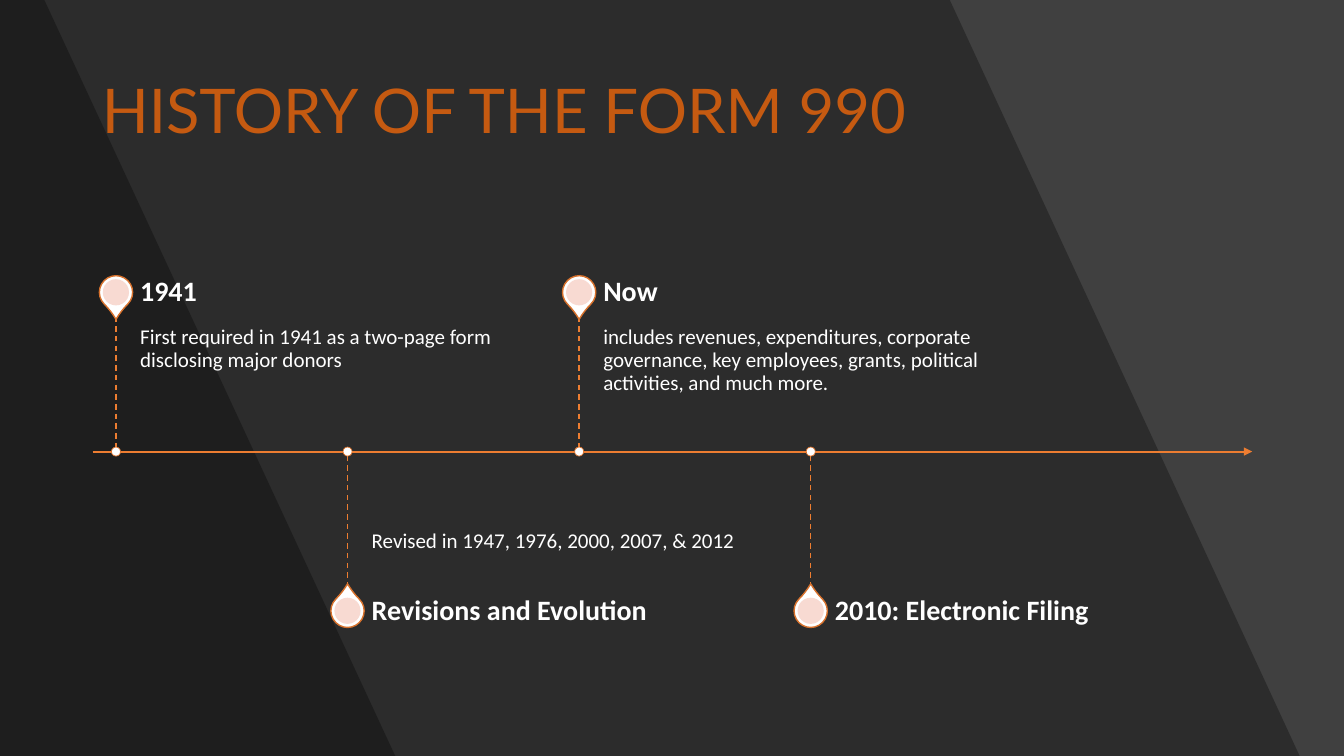
"""Build a slide with a timeline of the Form 990."""
from lxml import etree
from pptx import Presentation
from pptx.dml.color import RGBColor
from pptx.enum import dml, shapes, text
from pptx.oxml import ns
from pptx.util import Inches, Pt

HUES = {"back": "404040", "shade": "000000", "title": "C55A11", "rail": "ED7D31",
        "edge": "D7712C", "pin": "F8D7CE", "white": "FFFFFF"}
hues = {name: RGBColor.from_string(code) for name, code in HUES.items()}
KINDS = shapes.MSO_SHAPE
ANCHOR = text.MSO_ANCHOR

deck = Presentation()
deck.slide_width, deck.slide_height = Inches(13.33), Inches(7.5)
slide = deck.slides.add_slide(deck.slide_layouts[5])
slide.background.fill.solid()
slide.background.fill.fore_color.rgb = hues["back"]


def write(box, words, size, hue="white", font="Calibri", bold=False,
          anchor=ANCHOR.MIDDLE, pads=(0, 0, 0.14, 0)):
    frame = box.text_frame
    frame.word_wrap = True
    frame.auto_size = text.MSO_AUTO_SIZE.NONE
    frame.vertical_anchor = anchor
    frame.margin_left, frame.margin_top, frame.margin_right, frame.margin_bottom = map(Inches, pads)
    frame.text = words
    para = frame.paragraphs[0]
    para.alignment = text.PP_ALIGN.LEFT
    para.line_spacing = 0.9
    para.font.size, para.font.name, para.font.bold = Pt(size), font, bold
    para.font.color.rgb = hues[hue]


def paint(shape, hue, alpha=None, line=None):
    shape.shadow.inherit = False
    shape.fill.solid()
    shape.fill.fore_color.rgb = hues[hue]
    if alpha:
        tone = shape.fill._xPr.find(".//" + ns.qn("a:srgbClr"))
        etree.SubElement(tone, ns.qn("a:alpha")).set("val", str(alpha * 1000))
    if line:
        shape.line.color.rgb = hues["edge"]
        shape.line.width = Pt(line)
    else:
        shape.line.fill.background()


for top, foot in [(9.42, 12.89), (0.44, 3.92)]:
    band = slide.shapes.build_freeform(0, 0, scale=1)
    band.add_line_segments([(Inches(x), Inches(y)) for x, y in
                            [(top, 0), (foot, 7.5), (0, 7.5)]], close=True)
    paint(band.convert_to_shape(), "shade", alpha=30)

title = slide.shapes.title
title.left, title.top, title.width, title.height = map(Inches, (0.91, 0.4, 11.51, 1.45))
write(title, "HISTORY OF THE FORM 990", 44, hue="title", font="Lato", pads=(0.1, 0.05, 0.1, 0.05))
slide.shapes._spTree.append(title._element)

AXIS = 4.48
START, STEP = 1.15, 2.297
events = [
    ("1941", "First required in 1941 as a two-page form disclosing major donors"),
    ("Revisions and Evolution", "Revised in 1947, 1976, 2000, 2007, & 2012"),
    ("Now", "includes revenues, expenditures, corporate governance, key employees, "
            "grants, political activities, and much more."),
    ("2010: Electronic Filing", ""),
]
marks = [(START + i * STEP, 3.14 if i % 2 == 0 else 5.83) for i in range(len(events))]

lines = [(0.92, AXIS, 12.42, AXIS)] + [(x, tip, x, AXIS) for x, tip in marks]
for i, ends in enumerate(lines):
    link = slide.shapes.add_connector(shapes.MSO_CONNECTOR.STRAIGHT, *map(Inches, ends))
    link.line.color.rgb = hues["rail"]
    link.line.width = Pt(1 if i else 1.5)
    if i:
        link.line.dash_style = dml.MSO_LINE.DASH
    else:
        etree.SubElement(link.line._get_or_add_ln(), ns.qn("a:tailEnd")).set("type", "triangle")
    etree.SubElement(link._element.spPr, ns.qn("a:effectLst"))

for (x, tip), (head, note) in zip(marks, events):
    above = tip < AXIS
    mid = 2.9 if above else 6.06
    for kind, y, size, hue, alpha, line in [
            (KINDS.TEAR, mid, 0.33, "white", None, 1),
            (KINDS.OVAL, mid, 0.26, "pin", 90, None),
            (KINDS.OVAL, AXIS, 0.09, "white", None, 0.5)]:
        dot = slide.shapes.add_shape(kind, Inches(x - size / 2), Inches(y - size / 2),
                                     Inches(size), Inches(size))
        paint(dot, hue, alpha, line)
        if kind == KINDS.TEAR:
            dot.adjustments[0] = 1.15
            dot.rotation = 135 if above else 315

    left, wide = Inches(x + 0.24), Inches(3.83)
    label = slide.shapes.add_textbox(left, Inches(2.67 if above else 5.83), wide, Inches(0.47))
    write(label, head, 20, bold=True)
    if note:
        body = slide.shapes.add_textbox(left, Inches(3.14 if above else AXIS), wide, Inches(1.34))
        write(body, note, 15, anchor=ANCHOR.TOP if above else ANCHOR.BOTTOM,
              pads=(0, 0.1, 0.1, 0.16) if above else (0, 0.16, 0, 0.33))

deck.save("out.pptx")
